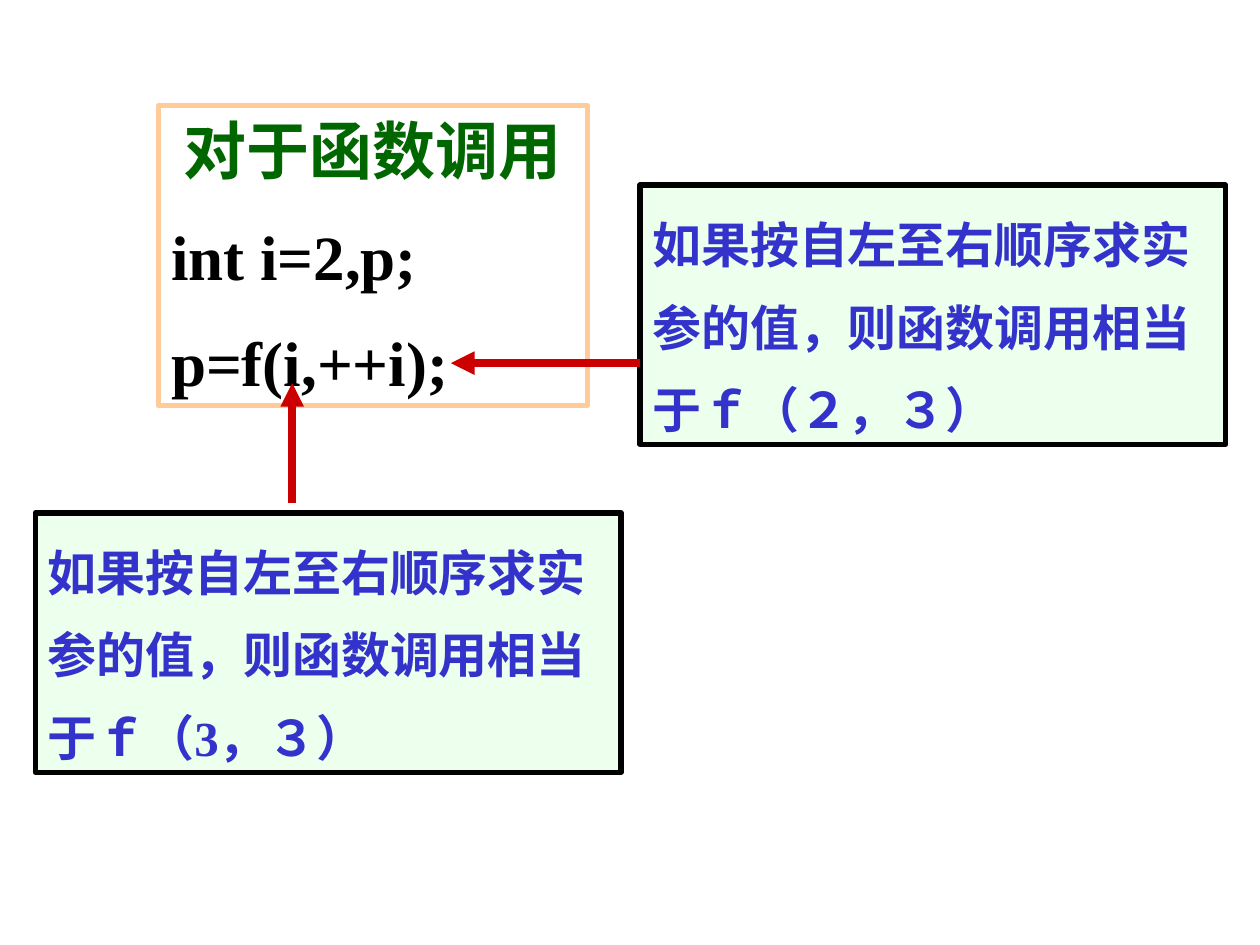
from lxml.etree import SubElement
from pptx import Presentation
from pptx.dml.color import RGBColor
from pptx.enum.shapes import MSO_CONNECTOR, MSO_SHAPE
from pptx.enum.text import MSO_ANCHOR, PP_ALIGN
from pptx.oxml.ns import qn
from pptx.util import Cm, Pt


def paint(text):
    return RGBColor.from_string(text)


class Deck:
    font = "Times New Roman"
    mint, blue, red = "EDFFED", "3333CC", "CC0000"

    def __init__(self, wide, high):
        self.file = Presentation()
        self.file.slide_width = Cm(wide)
        self.file.slide_height = Cm(high)
        self.slide = self.file.slides.add_slide(self.file.slide_layouts[6])

    def box(self, left, top, wide, high, fill, edge):
        shape = self.slide.shapes.add_shape(
            MSO_SHAPE.RECTANGLE, Cm(left), Cm(top), Cm(wide), Cm(high))
        shape.shadow.inherit = False
        shape.fill.solid()
        shape.fill.fore_color.rgb = paint(fill)
        shape.line.color.rgb = paint(edge)
        shape.line.width = Pt(3)
        frame = shape.text_frame
        frame.word_wrap = True
        frame.vertical_anchor = MSO_ANCHOR.TOP
        return frame

    def put(self, para, text, size, color, space=1.4, indent=0):
        para.text = text
        para.alignment = PP_ALIGN.LEFT
        para.line_spacing = space
        if indent:
            para._p.get_or_add_pPr().set("marL", str(Cm(indent)))
        para.font.name = self.font
        para.font.size = Pt(size)
        para.font.bold = True
        para.font.color.rgb = paint(color)

    def note(self, left, top, text):
        frame = self.box(left, top, 11.81, 5.23, self.mint, "000000")
        self.put(frame.paragraphs[0], text, 28, self.blue)

    def code(self, left, top, title, lines):
        frame = self.box(left, top, 8.64, 6.05, "FFFFFF", "FFCC99")
        self.put(frame.paragraphs[0], title, 36, "006600", 1.0, 0.25)
        for line in lines:
            self.put(frame.add_paragraph(), line, 36, "000000")

    def arrow(self, *ends):
        link = self.slide.shapes.add_connector(
            MSO_CONNECTOR.STRAIGHT, *[Cm(end) for end in ends])
        link.line.color.rgb = paint(self.red)
        link.line.width = Pt(4.5)
        props = link._element.spPr
        SubElement(props.find(qn("a:ln")), qn("a:tailEnd"), type="triangle")
        SubElement(props, qn("a:effectLst"))

    def save(self):
        self.file.save("out.pptx")


def main():
    deck = Deck(25.4, 19.05)
    rule = "如果按自左至右顺序求实参的值，则函数调用相当于"
    deck.note(12.9, 3.73, rule + "ｆ（２，３）")
    deck.note(0.71, 10.34, rule + "ｆ（3，３）")
    deck.code(3.2, 2.13, "对于函数调用", ["int i=2,p;", "p=f(i,++i);"])
    deck.arrow(12.9, 7.32, 9.09, 7.32)
    deck.arrow(5.89, 10.13, 5.89, 7.72)
    deck.save()


if __name__ == "__main__":
    main()
